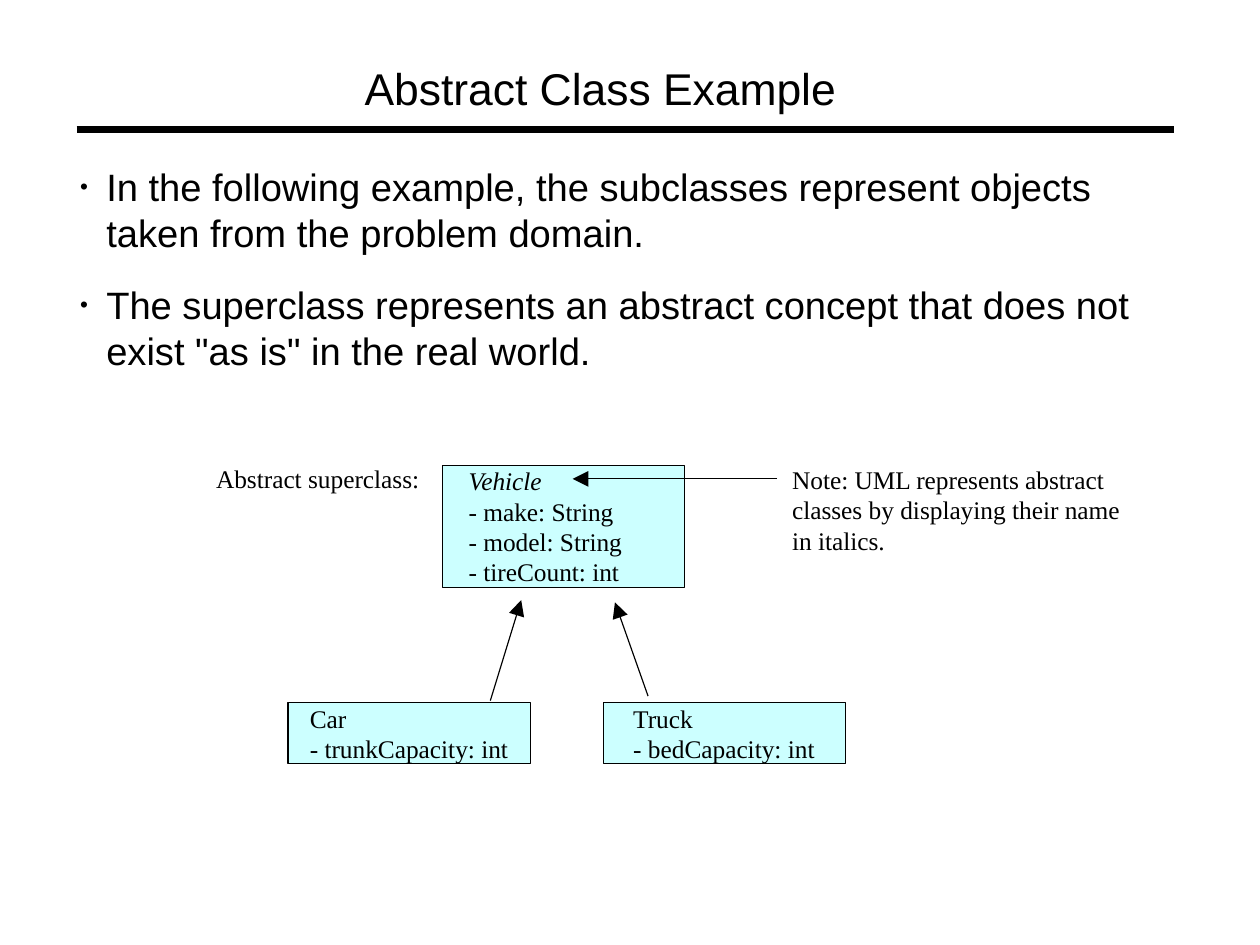
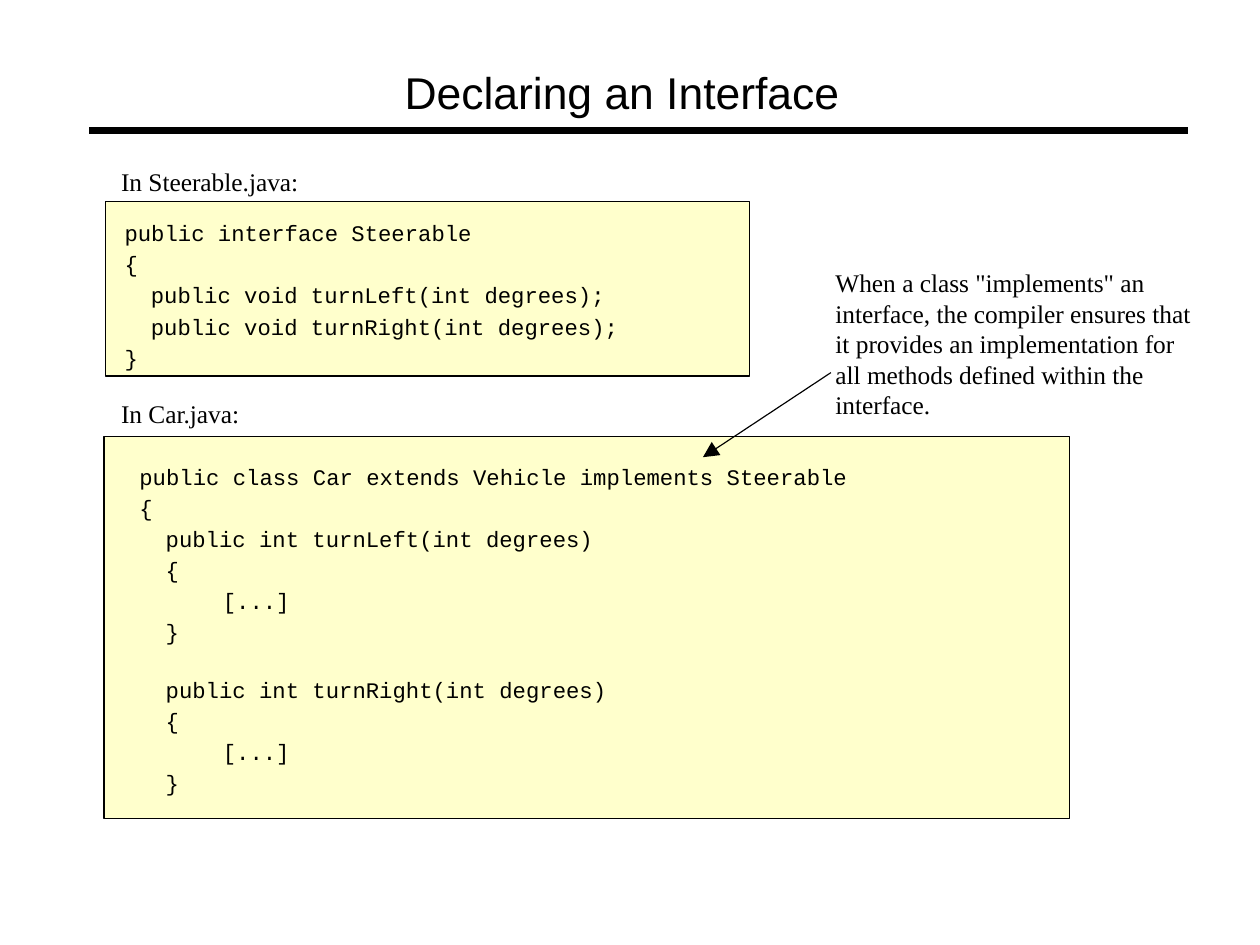
from dataclasses import dataclass

from lxml.etree import SubElement
from pptx import Presentation
from pptx.dml.color import RGBColor
from pptx.enum.shapes import MSO_CONNECTOR as Connector, MSO_SHAPE as Shape
from pptx.enum.text import MSO_ANCHOR as Anchor, MSO_AUTO_SIZE as AutoSize, PP_ALIGN as Align
from pptx.oxml.ns import qn
from pptx.slide import Slide
from pptx.text.text import TextFrame
from pptx.util import Cm, Inches, Pt

COLORS = {"ink": "000000", "class": "CCFFFF", "code": "FFFFCC"}
SLIDE_WIDTH, SLIDE_HEIGHT = Cm(28), Cm(21)
CELL = 0.1  # inches, both ways
TITLE_ONLY, TITLE_AND_BODY = 5, 1
HANGING = Inches(0.23)
TAB_STEP = 0.79  # inches
CODE_INDENT = "  "
CODE_GAP = 2.8
CODE_LINE = 16.5  # height of an empty code line in points
THIN, RULE = 0.75, 4.31


@dataclass(frozen=True)
class Area:
    """A rectangle in grid columns and rows."""
    left: float
    top: float
    width: float
    height: float

    def lengths(self) -> list[int]:
        return [cells(n) for n in (self.left, self.top, self.width, self.height)]


@dataclass(frozen=True)
class Font:
    name: str
    size: float


@dataclass(frozen=True)
class Panel:
    """A filled box whose text starts at an inset from its corner."""
    area: Area
    color: str
    lines: list[str]
    inset_left: float
    inset_top: float = 0


@dataclass(frozen=True)
class Label:
    area: Area
    text: str


@dataclass(frozen=True)
class Line:
    begin: tuple[float, float]
    end: tuple[float, float]


TITLE_FONT = Font("Arial", 28)
BODY_FONT = Font("Arial", 24)
LABEL_FONT = Font("Times New Roman", 16)
CODE_FONT = Font("Courier New", 14)

BULLETS = [
    "In the following example, the subclasses represent objects taken from the problem domain.",
    'The superclass represents an abstract concept that does not exist "as is" in the real world.',
]
CLASSES = [
    Panel(Area(38.7, 40.7, 21.2, 10.7), "class",
          ["Vehicle", "- make: String", "- model: String", "- tireCount: int"], 2.3),
    Panel(Area(25.2, 61.5, 21.2, 5.3), "class", ["Car", "- trunkCapacity: int"], 1.9),
    Panel(Area(52.8, 61.5, 21.2, 5.3), "class", ["Truck", "- bedCapacity: int"], 2.6),
]
CLASS_LABELS = [
    Label(Area(18.9, 40.5, 18.5, 2.7), "Abstract superclass:"),
    Label(Area(69.3, 40.6, 29.5, 8),
          "Note: UML represents abstract\nclasses by displaying their name\nin italics."),
]
CLASS_ARROWS = [
    Line((42.9, 61.3), (45.6, 52.5)),
    Line((56.7, 60.9), (53.8, 52.7)),
    Line((68, 41.9), (50.1, 41.9)),
]

INTERFACE_CODE = """\
public interface Steerable
{
  public void turnLeft(int degrees);
  public void turnRight(int degrees);
}"""
CAR_CODE = """\
public class Car extends Vehicle implements Steerable
{
  public int turnLeft(int degrees)
  {
    [...]
  }

  public int turnRight(int degrees)
  {
    [...]
  }"""
LISTINGS = [
    Panel(Area(9.2, 17.6, 56.4, 15.3), "code", INTERFACE_CODE.splitlines(), 1.7, 1.6),
    Panel(Area(9.1, 38.2, 84.5, 33.4), "code", CAR_CODE.splitlines(), 3.1, 2.3),
]
LISTING_LABELS = [
    Label(Area(10.6, 14.5, 18, 2.7), "In Steerable.java:"),
    Label(Area(10.6, 34.8, 18, 2.7), "In Car.java:"),
    Label(Area(73.1, 23.4, 31.6, 13.3),
          'When a class "implements" an\ninterface, the compiler ensures that\n'
          "it provides an implementation for\nall methods defined within the\ninterface."),
]
LISTING_ARROW = Line((72.7, 32.6), (61.5, 40))


def cells(count: float) -> int:
    return Inches(count * CELL)


def color(name: str) -> RGBColor:
    return RGBColor.from_string(COLORS[name])


def place(shape, area: Area) -> None:
    shape.left, shape.top, shape.width, shape.height = area.lengths()


def write(text_frame: TextFrame, text: str, font: Font) -> None:
    """Fill the frame with left-aligned, top-anchored text without margins."""
    text_frame.text = text
    text_frame.word_wrap = True
    text_frame.auto_size = AutoSize.NONE
    text_frame.vertical_anchor = Anchor.TOP
    text_frame.margin_left = text_frame.margin_right = 0
    text_frame.margin_top = text_frame.margin_bottom = 0
    for paragraph in text_frame.paragraphs:
        paragraph.alignment = Align.LEFT
        paragraph.line_spacing = 1.0
        paragraph.space_before = Pt(0)
        for run in paragraph.runs:
            run.font.name = font.name
            run.font.size = Pt(font.size)
            run.font.color.rgb = color("ink")


def hang(paragraph):
    """Give the paragraph a hanging indent and return its properties."""
    properties = paragraph._p.get_or_add_pPr()
    properties.set("marL", str(HANGING))
    properties.set("indent", str(-HANGING))
    return properties


def add_line(slide: Slide, line: Line, width: float, arrow: bool = False) -> None:
    ends = [cells(n) for n in (*line.begin, *line.end)]
    connector = slide.shapes.add_connector(Connector.STRAIGHT, *ends)
    connector.line.width = Pt(width)
    connector.line.color.rgb = color("ink")
    properties = connector._element.spPr
    if arrow:
        SubElement(properties.find(qn("a:ln")), qn("a:tailEnd"),
                   type="triangle", w="lg", len="lg")
    SubElement(properties, qn("a:effectLst"))


def add_titled_slide(presentation, layout: int, title: str, area: Area, rule: Line) -> Slide:
    slide = presentation.slides.add_slide(presentation.slide_layouts[layout])
    place(slide.shapes.title, area)
    write(slide.shapes.title.text_frame, title, TITLE_FONT)
    add_line(slide, rule, RULE)
    return slide


def fill_bullets(slide: Slide, area: Area, bullets: list[str]) -> None:
    body = slide.placeholders[1]
    place(body, area)
    write(body.text_frame, "\n".join(bullets), BODY_FONT)
    for index, paragraph in enumerate(body.text_frame.paragraphs):
        paragraph.space_before = Pt(17 if index else 0)
        properties = hang(paragraph)
        SubElement(properties, qn("a:buSzPct"), val="59000")
        SubElement(properties, qn("a:buFont"), typeface="Arial")
        SubElement(properties, qn("a:buChar"), char="•")


def add_panel(slide: Slide, panel: Panel, font: Font) -> TextFrame:
    shape = slide.shapes.add_shape(Shape.ROUNDED_RECTANGLE, *panel.area.lengths())
    shape.adjustments[0] = 0
    shape.shadow.inherit = False
    shape.fill.solid()
    shape.fill.fore_color.rgb = color(panel.color)
    shape.line.color.rgb = color("ink")
    shape.line.width = Pt(THIN)
    text_frame = shape.text_frame
    lines = [line.replace(CODE_INDENT, "\t") for line in panel.lines if line]
    write(text_frame, "\n".join(lines), font)
    text_frame.margin_left = cells(panel.inset_left)
    text_frame.margin_top = cells(panel.inset_top)
    return text_frame


def add_listing(slide: Slide, panel: Panel) -> None:
    """Draw a code panel; an empty code line becomes space before the next one."""
    paragraphs = iter(add_panel(slide, panel, CODE_FONT).paragraphs)
    gap = 0
    for line in panel.lines:
        if not line:
            gap += CODE_LINE
            continue
        paragraph = next(paragraphs)
        paragraph.space_before = Pt(gap)
        gap = CODE_GAP
        tabs = SubElement(hang(paragraph), qn("a:tabLst"))
        for step in range(8):
            SubElement(tabs, qn("a:tab"), pos=str(Inches(step * TAB_STEP)), algn="l")


def add_label(slide: Slide, label: Label) -> None:
    write(slide.shapes.add_textbox(*label.area.lengths()).text_frame, label.text, LABEL_FONT)


def build_class_slide(presentation) -> None:
    slide = add_titled_slide(presentation, TITLE_AND_BODY, "Abstract Class Example",
                             Area(31.9, 5.3, 52.8, 4.7), Line((6.7, 11.3), (102.7, 11.3)))
    fill_bullets(slide, Area(7, 14.3, 93.7, 18.4), BULLETS)
    for panel in CLASSES:
        text_frame = add_panel(slide, panel, LABEL_FONT)
        if panel is CLASSES[0]:
            text_frame.paragraphs[0].runs[0].font.italic = True
    for label in CLASS_LABELS:
        add_label(slide, label)
    for arrow in CLASS_ARROWS:
        add_line(slide, arrow, THIN, arrow=True)


def build_interface_slide(presentation) -> None:
    slide = add_titled_slide(presentation, TITLE_ONLY, "Declaring an Interface",
                             Area(35.4, 5.7, 52.8, 4.7), Line((7.8, 11.4), (103.9, 11.4)))
    for panel in LISTINGS:
        add_listing(slide, panel)
    for label in LISTING_LABELS:
        add_label(slide, label)
    add_line(slide, LISTING_ARROW, THIN, arrow=True)


def main() -> None:
    presentation = Presentation()
    presentation.slide_width = SLIDE_WIDTH
    presentation.slide_height = SLIDE_HEIGHT
    presentation.element.sldSz.attrib.pop("type", None)
    build_class_slide(presentation)
    build_interface_slide(presentation)
    presentation.save("out.pptx")


if __name__ == "__main__":
    main()
